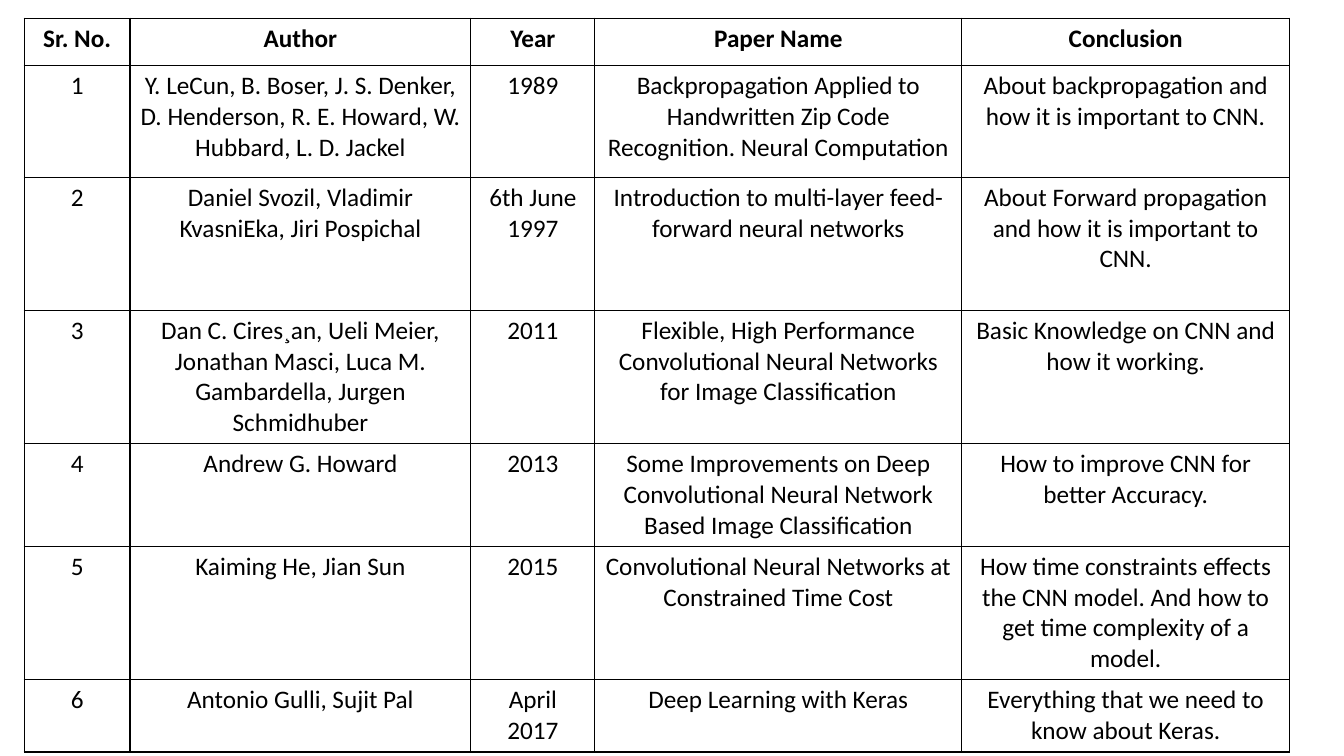
from dataclasses import dataclass

from lxml.etree import SubElement
from pptx import Presentation
from pptx.dml.color import RGBColor
from pptx.enum.text import MSO_ANCHOR, PP_ALIGN
from pptx.oxml.ns import qn
from pptx.util import Inches, Pt


@dataclass(frozen=True)
class Theme:
    ink: str = "000000"
    paper: str = "FFFFFF"
    font: str = "Calibri"
    text_size: int = 18
    border_width: int = 1


class SlideBuilder:
    """Holds the theme and the current slide."""

    def __init__(self, slide, theme):
        self.slide = slide
        self.theme = theme

    def background(self):
        fill = self.slide.background.fill
        fill.solid()
        fill.fore_color.rgb = RGBColor.from_string(self.theme.paper)

    def table(self, left, top, column_widths, row_heights, rows):
        frame = self.slide.shapes.add_table(
            len(rows), len(column_widths), Inches(left), Inches(top),
            Inches(sum(column_widths)), Inches(sum(row_heights)))
        table = frame.table
        table.horz_banding = False
        for column, width in zip(table.columns, column_widths):
            column.width = Inches(width)
        for row, height in zip(table.rows, row_heights):
            row.height = Inches(height)
        for row_index, texts in enumerate(rows):
            for column_index, text in enumerate(texts):
                cell = table.cell(row_index, column_index)
                self.cell(cell, text, bold=row_index == 0)

    def cell(self, cell, text, bold):
        cell.vertical_anchor = MSO_ANCHOR.TOP
        self.borders(cell)
        cell.fill.background()
        para = cell.text_frame.paragraphs[0]
        para.alignment = PP_ALIGN.CENTER
        span = para.add_run()
        span.text = text
        formats = {"name": self.theme.font, "size": Pt(self.theme.text_size), "bold": bold}
        for name, value in formats.items():
            setattr(span.font, name, value)
        span.font.color.rgb = RGBColor.from_string(self.theme.ink)

    def borders(self, cell):
        properties = cell._tc.get_or_add_tcPr()
        for side in ("a:lnL", "a:lnR", "a:lnT", "a:lnB"):
            line = SubElement(properties, qn(side), w=str(Pt(self.theme.border_width)))
            fill = SubElement(line, qn("a:solidFill"))
            SubElement(fill, qn("a:srgbClr"), val=self.theme.ink)


# Literature survey: author, year, paper name, conclusion
HEADER = ("Sr. No.", "Author", "Year", "Paper Name", "Conclusion")
PAPERS = [
    ("Y. LeCun, B. Boser, J. S. Denker, D. Henderson, R. E. Howard, W. Hubbard, L. D. Jackel",
     "1989",
     "Backpropagation Applied to Handwritten Zip Code Recognition. Neural Computation",
     "About backpropagation and how it is important to CNN."),
    ("Daniel Svozil, Vladimir KvasniEka, Jiri Pospichal",
     "6th June 1997",
     "Introduction to multi-layer feed-forward neural networks",
     "About Forward propagation and how it is important to CNN."),
    ("Dan C. Cires¸an, Ueli Meier, Jonathan Masci, Luca M. Gambardella, Jurgen Schmidhuber",
     "2011",
     "Flexible, High Performance Convolutional Neural Networks for Image Classification",
     "Basic Knowledge on CNN and how it working."),
    ("Andrew G. Howard",
     "2013",
     "Some Improvements on Deep Convolutional Neural Network Based Image Classification",
     "How to improve CNN for better Accuracy."),
    ("Kaiming He, Jian Sun",
     "2015",
     "Convolutional Neural Networks at Constrained Time Cost",
     "How time constraints effects the CNN model. And how to get time complexity of a model."),
    ("Antonio Gulli, Sujit Pal",
     "April 2017",
     "Deep Learning with Keras",
     "Everything that we need to know about Keras."),
]
COLUMN_WIDTHS = (1.05, 3.38, 1.23, 3.64, 3.25)
ROW_HEIGHTS = (0.47, 1.11, 1.32, 1.32, 1.02, 1.32, 0.72)

# Deck and blank page
deck = Presentation()
deck.slide_width = Inches(13.33)
deck.slide_height = Inches(7.5)
page = SlideBuilder(deck.slides.add_slide(deck.slide_layouts[6]), Theme())
page.background()

# Survey table, papers numbered from 1
numbered_papers = [(str(number), *paper) for number, paper in enumerate(PAPERS, start=1)]
page.table(0.24, 0.18, COLUMN_WIDTHS, ROW_HEIGHTS, [HEADER, *numbered_papers])

deck.save("out.pptx")
